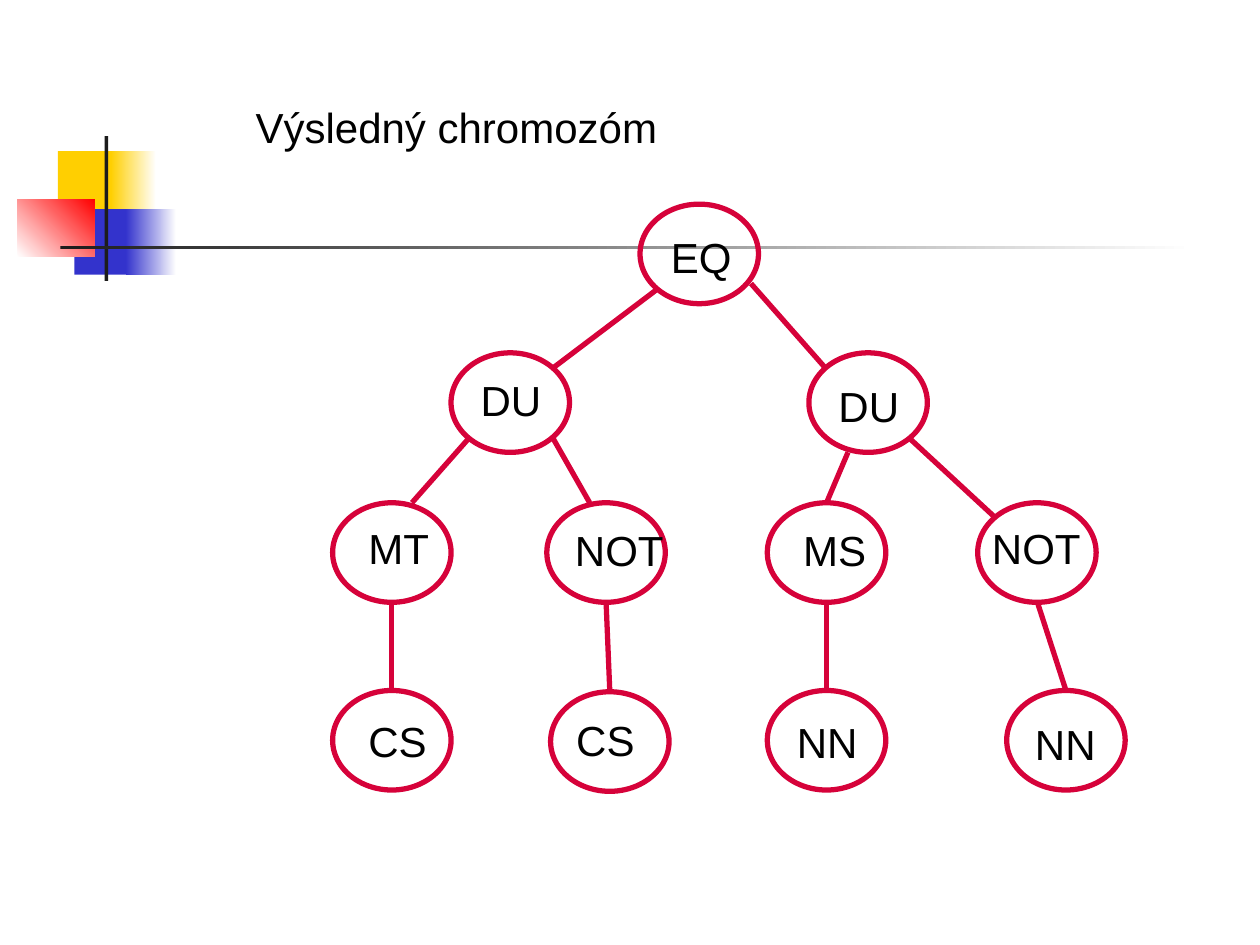
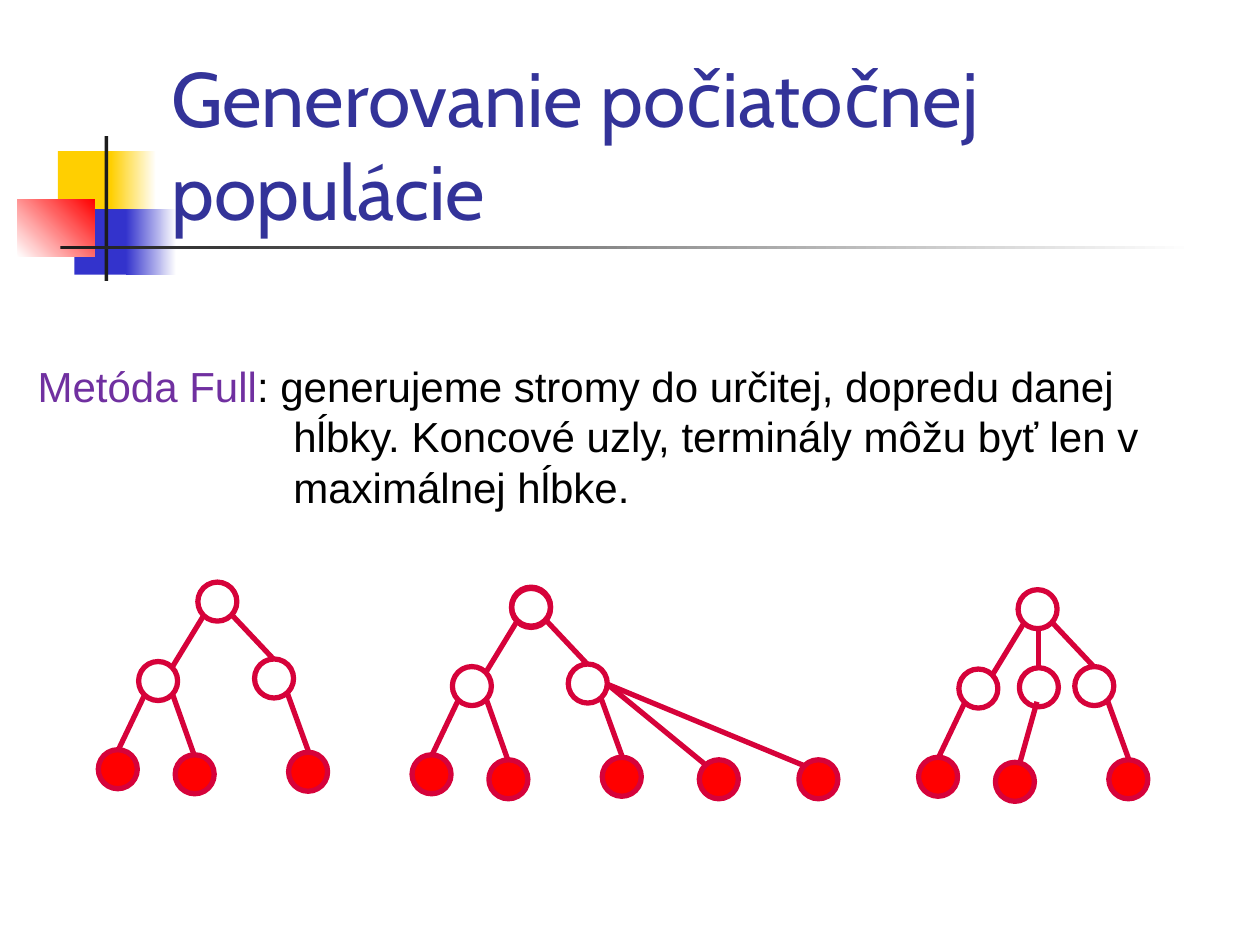
from typing import NamedTuple

from pptx import Presentation
from pptx import util as u
from pptx.dml import color
from pptx.enum import shapes, text
from pptx.oxml import ns, xmlchemy

BLACK, WHITE, DARK = "000000", "FFFFFF", "1C1C1C"
YELLOW, BLUE, RED = "FFCF01", "3333CC", "FF0000"
CRIMSON, TITLE_BLUE, PURPLE = "D6023A", "333399", "7030A0"
BODY_FONT, TITLE_FONT = "Arial", "Cabin"


class Band(NamedTuple):
    x: float
    y: float
    w: float
    h: float
    start: str
    end: str = ""
    angle: int = 0


class Gene(NamedTuple):
    x: float
    y: float
    name: str
    name_x: float
    name_y: float
    name_w: float = 1.13


class Node(NamedTuple):
    x: float
    y: float
    terminal: bool = False


class Edge(NamedTuple):
    x1: float
    y1: float
    x2: float
    y2: float


class Tree(NamedTuple):
    dx: float
    dy: float
    nodes: list[Node]
    edges: list[Edge]


# Decoration on every slide
BANDS = [
    Band(0.46, 1.2, 0.48, 0.52, YELLOW),
    Band(0.88, 1.2, 0.36, 0.52, YELLOW, WHITE),
    Band(0.59, 1.66, 0.46, 0.52, BLUE),
    Band(1, 1.66, 0.4, 0.52, BLUE, WHITE),
    Band(0.14, 1.58, 0.61, 0.46, WHITE, RED, 45),
    Band(0.83, 1.08, 0.03, 1.15, DARK),
    Band(0.48, 1.95, 9, 0.03, DARK, WHITE),
]

# Chromosome tree, level by level
GENE_W, GENE_H = 0.94, 0.79
GENES = [
    Gene(5.08, 1.62, "EQ", 5.16, 1.79, 0.81),
    Gene(3.58, 2.8, "DU", 3.65, 2.92, 0.81),
    Gene(6.42, 2.8, "DU", 6.49, 2.97, 0.81),
    Gene(2.64, 3.99, "MT", 2.76, 4.1, 0.81),
    Gene(4.34, 3.99, "NOT", 4.35, 4.11),
    Gene(6.09, 3.99, "MS", 6.06, 4.11),
    Gene(7.76, 3.99, "NOT", 7.66, 4.1),
    Gene(2.64, 5.48, "CS", 2.59, 5.63),
    Gene(4.37, 5.49, "CS", 4.24, 5.62),
    Gene(6.09, 5.48, "NN", 6, 5.64),
    Gene(7.99, 5.48, "NN", 7.89, 5.65),
]
GENE_EDGES = [
    Edge(5.21, 2.3, 4.39, 2.92), Edge(5.96, 2.25, 6.55, 2.92),
    Edge(3.72, 3.48, 3.27, 3.99), Edge(4.39, 3.48, 4.68, 3.99),
    Edge(6.73, 3.59, 6.56, 3.99), Edge(7.22, 3.48, 7.89, 4.1),
    Edge(3.11, 4.77, 3.11, 5.48), Edge(4.81, 4.77, 4.84, 5.49),
    Edge(6.56, 4.78, 6.56, 5.48), Edge(8.23, 4.77, 8.46, 5.48),
]

# Full-method trees: a common core, shifted, plus extra branches
NODE_SIZE = 0.31
CORE_NODES = [
    Node(1.57, 4.62), Node(1.1, 5.25), Node(2.02, 5.23),
    Node(0.78, 5.95, True), Node(1.39, 5.99, True), Node(2.29, 5.97, True),
]
CORE_EDGES = [
    Edge(1.62, 4.88, 1.37, 5.29), Edge(1.84, 4.88, 2.17, 5.23),
    Edge(1.15, 5.51, 0.94, 5.95), Edge(2.28, 5.5, 2.45, 5.97),
]
LEFT_INNER_EDGE = Edge(1.37, 5.51, 1.54, 5.99)
TREES = [
    Tree(0, 0, CORE_NODES, CORE_EDGES + [LEFT_INNER_EDGE]),
    Tree(2.49, 0.04,
         CORE_NODES + [Node(3.06, 5.99, True), Node(3.85, 5.99, True), Node(1.57, 4.63)],
         CORE_EDGES + [LEFT_INNER_EDGE, Edge(2.33, 5.39, 3.11, 6.03),
                       Edge(2.33, 5.39, 3.9, 6.04)]),
    Tree(6.51, 0.06,
         CORE_NODES + [Node(1.58, 5.24)],
         CORE_EDGES + [Edge(1.72, 5.51, 1.58, 6.01), Edge(1.73, 4.93, 1.73, 5.24)]),
]


def rgb(value: str) -> color.RGBColor:
    return color.RGBColor.from_string(value)


def add_band(slide, band: Band) -> None:
    bar = slide.shapes.add_shape(
        shapes.MSO_SHAPE.RECTANGLE, *map(u.Inches, (band.x, band.y, band.w, band.h)))
    bar.shadow.inherit = False
    bar.line.fill.background()
    if band.end:
        bar.fill.gradient()
        bar.fill.gradient_angle = band.angle
        for stop, value in zip(bar.fill.gradient_stops, (band.start, band.end)):
            stop.color.rgb = rgb(value)
    else:
        bar.fill.solid()
        bar.fill.fore_color.rgb = rgb(band.start)


def add_oval(group, x: float, y: float, w: float, h: float, fill: str = "") -> None:
    oval = group.shapes.add_shape(shapes.MSO_SHAPE.OVAL, *map(u.Inches, (x, y, w, h)))
    oval.shadow.inherit = False
    oval.line.color.rgb = rgb(CRIMSON)
    oval.line.width = u.Pt(3)
    if fill:
        oval.fill.solid()
        oval.fill.fore_color.rgb = rgb(fill)
    else:
        oval.fill.background()


def add_edge(group, edge: Edge, dx: float = 0, dy: float = 0) -> None:
    branch = group.shapes.add_connector(
        shapes.MSO_CONNECTOR.STRAIGHT,
        *map(u.Inches, (edge.x1 + dx, edge.y1 + dy, edge.x2 + dx, edge.y2 + dy)))
    branch.line.color.rgb = rgb(CRIMSON)
    branch.line.width = u.Pt(3)
    branch.element.spPr.append(xmlchemy.OxmlElement("a:effectLst"))


def style(font, size: float, name: str, value: str) -> None:
    font.size, font.name = u.Pt(size), name
    font.color.rgb = rgb(value)


def add_text(parent, x: float, y: float, w: float, h: float, content: str,
             align=text.PP_ALIGN.JUSTIFY, size: float = 24,
             font: str = BODY_FONT, value: str = BLACK):
    frame = parent.shapes.add_textbox(*map(u.Inches, (x, y, w, h))).text_frame
    frame.word_wrap = True
    frame.text = content
    for paragraph in frame.paragraphs:
        paragraph.alignment = align
        for run in paragraph.runs:
            style(run.font, size, font, value)
    return frame


def add_slide(prs):
    slide = prs.slides.add_slide(prs.slide_layouts[6])
    for band in BANDS:
        add_band(slide, band)
    return slide


def build_chromosome(prs) -> None:
    slide = add_slide(prs)
    add_text(slide, 1.93, 0.76, 7.72, 0.5, "Výsledný chromozóm")
    chromosome = slide.shapes.add_group_shape()
    for gene in GENES:
        add_oval(chromosome, gene.x, gene.y, GENE_W, GENE_H)
    for edge in GENE_EDGES:
        add_edge(chromosome, edge)
    for gene in GENES:
        add_text(chromosome, gene.name_x, gene.name_y, gene.name_w, 0.5,
                 gene.name, text.PP_ALIGN.CENTER)


def build_full_method(prs) -> None:
    slide = add_slide(prs)
    title = add_text(slide, 1.26, 0.67, 8.52, 1.25, "Generovanie počiatočnej populácie",
                     text.PP_ALIGN.LEFT, 44, TITLE_FONT, TITLE_BLUE)
    title.vertical_anchor = text.MSO_ANCHOR.BOTTOM

    # Definition with its continuation lines indented
    definition = add_text(slide, 0.2, 2.81, 9.69, 1.3, "\n".join((
        "Metóda Full",
        "hĺbky. Koncové uzly, terminály môžu byť len v",
        "maximálnej hĺbke.")))
    term, *continuation = definition.paragraphs
    term.runs[0].font.color.rgb = rgb(PURPLE)
    meaning = term.add_run()
    meaning.text = ": generujeme stromy do určitej, dopredu danej"
    style(meaning.font, 24, BODY_FONT, BLACK)
    for line in continuation:
        properties = line._p.get_or_add_pPr()
        properties.set("marL", str(u.Inches(2.03)))
        properties.set("indent", "0")
        properties.insert(0, xmlchemy.OxmlElement("a:buNone"))

    for tree in TREES:
        group = slide.shapes.add_group_shape()
        for node in tree.nodes:
            add_oval(group, node.x + tree.dx, node.y + tree.dy, NODE_SIZE, NODE_SIZE,
                     RED if node.terminal else "")
        for edge in tree.edges:
            add_edge(group, edge, tree.dx, tree.dy)


def main() -> None:
    prs = Presentation()
    prs.slide_width, prs.slide_height = u.Inches(10), u.Inches(7.5)
    build_chromosome(prs)
    build_full_method(prs)
    prs.save("out.pptx")


if __name__ == "__main__":
    main()
